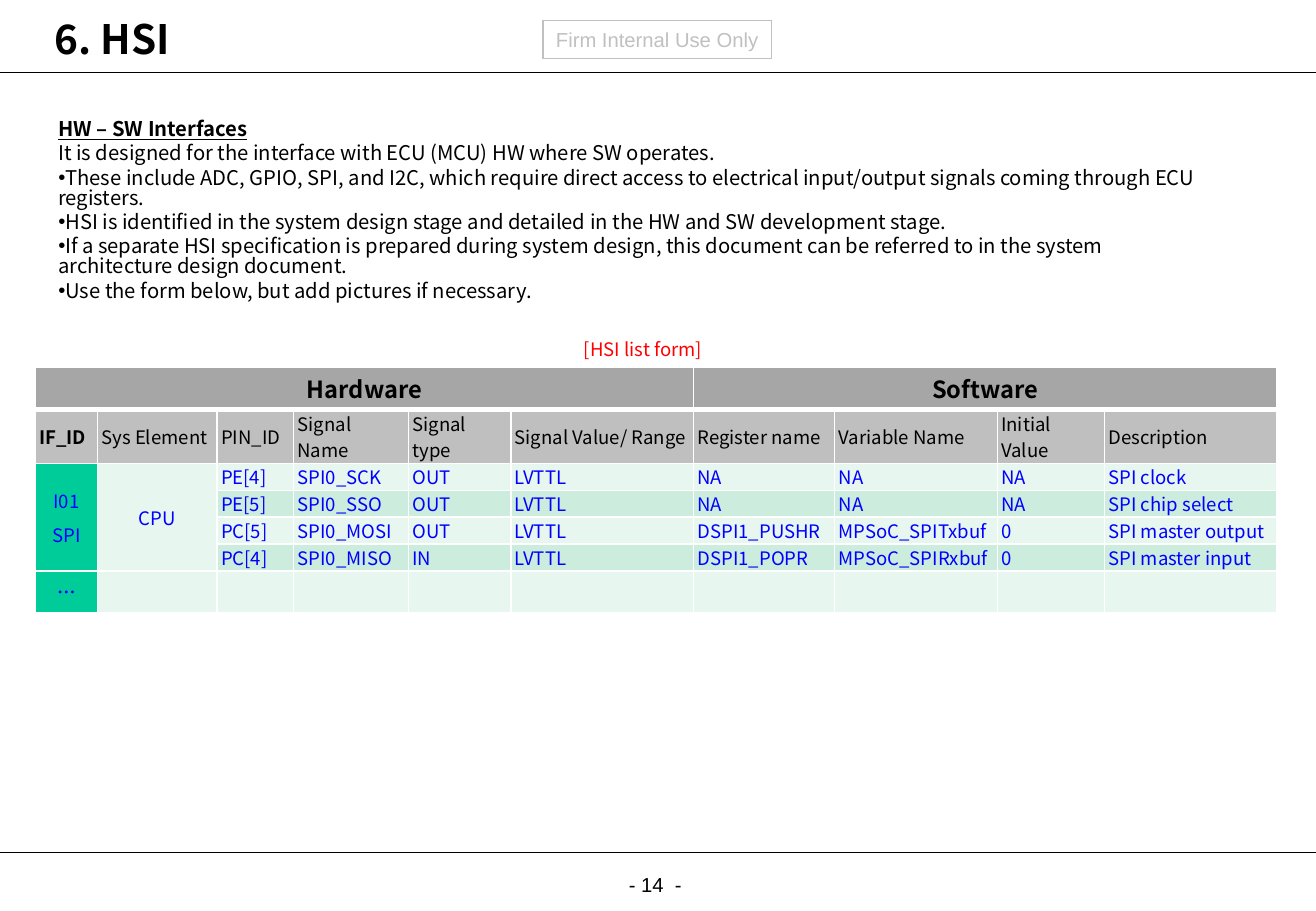
from dataclasses import dataclass
from typing import Any, NamedTuple

from lxml.etree import SubElement as Sub
from pptx import Presentation as Deck
from pptx.dml.color import RGBColor as Rgb
from pptx.enum.shapes import MSO_CONNECTOR as Link, MSO_SHAPE as Form
from pptx.enum.text import MSO_ANCHOR as Anchor, MSO_AUTO_SIZE as Fit, PP_ALIGN as Align
from pptx.oxml import parse_xml as make
from pptx.oxml.ns import nsdecls, qn
from pptx.util import Cm, Pt


@dataclass(frozen=True)
class Theme:
    sans: str = "Noto Sans CJK KR"
    plain: str = "Arial"
    black: str = "000000"
    white: str = "FFFFFF"
    stamp: str = "C0C0C0"
    red: str = "FF0000"
    blue: str = "0000FF"
    group: str = "A6A6A6"
    head: str = "BFBFBF"
    key: str = "00CC99"
    pale: str = "E7F6EF"
    band: str = "CCECDE"
    title: float = 24
    label: float = 14
    body: float = 12
    cell: float = 11


class Box(NamedTuple):
    left: float
    top: float
    wide: float
    high: float

    def size(self) -> tuple:
        return tuple(Cm(n) for n in self)


class Point(NamedTuple):
    text: str
    mark: bool = True
    head: bool = False


class Block(NamedTuple):
    row: int
    col: int
    last_row: int
    last_col: int


T = Theme()
WIDE, HIGH = 27.51, 19.05
RULES = [1.52, 17.83]

POINTS = [
    Point("HW – SW Interfaces", mark=False, head=True),
    Point("It is designed for the interface with ECU (MCU) HW where SW operates.", mark=False),
    Point("These include ADC, GPIO, SPI, and I2C, which require direct access to electrical "
          "input/output signals coming through ECU registers."),
    Point("HSI is identified in the system design stage and detailed in the HW and SW "
          "development stage."),
    Point("If a separate HSI specification is prepared during system design, this document "
          "can be referred to in the system architecture design document."),
    Point("Use the form below, but add pictures if necessary."),
]

COLS = [1.3, 2.5, 1.6, 2.4, 2.14, 3.82, 2.95, 3.4, 2.24, 3.6]
ROWS = [0.89, 1.12] + [0.56] * 4 + [0.86]
BLOCKS = [Block(0, 0, 0, 5), Block(0, 6, 0, 9), Block(2, 0, 5, 0), Block(2, 1, 5, 1)]
CELLS = [
    ["Hardware", "", "", "", "", "", "Software", "", "", ""],
    ["IF_ID", "Sys Element", "PIN_ID", "Signal Name", "Signal type", "Signal Value/ Range",
     "Register name", "Variable Name", "Initial Value", "Description"],
    ["I01\nSPI", "CPU", "PE[4]", "SPI0_SCK", "OUT", "LVTTL", "NA", "NA", "NA", "SPI clock"],
    ["", "", "PE[5]", "SPI0_SSO", "OUT", "LVTTL", "NA", "NA", "NA", "SPI chip select"],
    ["", "", "PC[5]", "SPI0_MOSI", "OUT", "LVTTL", "DSPI1_PUSHR", "MPSoC_SPITxbuf", "0",
     "SPI master output"],
    ["", "", "PC[4]", "SPI0_MISO", "IN", "LVTTL", "DSPI1_POPR", "MPSoC_SPIRxbuf", "0",
     "SPI master input"],
    ["…"] + [""] * 9,
]


def write(para: Any, text: str, *, size: float = T.body, face: str = T.sans,
          tint: str = T.black, bold: bool = False, under: bool = False,
          align: Any = Align.LEFT, line: float = 1, before: float = 0) -> None:
    para.alignment = align
    para.line_spacing = line
    para.space_before = Pt(before)
    run = para.add_run()
    run.text = text
    font = run.font
    font.name, font.size, font.bold, font.underline = face, Pt(size), bold, under
    font.color.rgb = Rgb.from_string(tint)
    Sub(font._element, qn("a:ea")).set("typeface", face)


def place(shape: Any, box: Box, *, wrap: bool = True, anchor: Any = Anchor.TOP) -> Any:
    shape.left, shape.top, shape.width, shape.height = box.size()
    frame = shape.text_frame
    frame.word_wrap, frame.auto_size, frame.vertical_anchor = wrap, Fit.NONE, anchor
    frame.margin_left = frame.margin_right = Cm(0.25)
    frame.margin_top = frame.margin_bottom = Cm(0.13)
    return frame


def rule(slide: Any, top: float) -> None:
    line = slide.shapes.add_connector(Link.STRAIGHT, 0, Cm(top), Cm(WIDE), Cm(top))
    line.line.color.rgb = Rgb.from_string(T.black)
    line.line.width = Pt(0.75)
    Sub(line._element.spPr, qn("a:effectLst"))


def stamp(slide: Any, box: Box) -> None:
    shape = slide.shapes.add_shape(Form.RECTANGLE, *box.size())
    shape.shadow.inherit = False
    shape.fill.background()
    shape.line.color.rgb = Rgb.from_string(T.stamp)
    shape.line.width = Pt(0.75)
    frame = place(shape, box, wrap=False, anchor=Anchor.MIDDLE)
    write(frame.paragraphs[0], "Firm Internal Use Only", face=T.plain, tint=T.stamp,
          align=Align.CENTER)


def note(slide: Any, box: Box, text: str, *, wrap: bool = True, **form: Any) -> None:
    frame = place(slide.shapes.add_textbox(*box.size()), box, wrap=wrap)
    write(frame.paragraphs[0], text, align=Align.CENTER, **form)


def list_points(shape: Any, box: Box) -> None:
    frame = place(shape, box)
    for num, point in enumerate(POINTS):
        para = frame.add_paragraph() if num else frame.paragraphs[0]
        props = para._p.get_or_add_pPr()
        props.set("marL", "0")
        props.set("indent", "0")
        if point.mark:
            Sub(props, qn("a:buChar")).set("char", "•")
        else:
            Sub(props, qn("a:buNone"))
        write(para, point.text, bold=point.head, under=point.head, line=0.83,
              before=2.4 if num else 0)


def edge(cell: Any, row: int) -> None:
    props = cell._tc.get_or_add_tcPr()
    for spot, side in enumerate("LRTB"):
        thick = (row, side) in ((0, "B"), (1, "T"))
        props.insert(spot, make(
            f'<a:ln{side} {nsdecls("a")} w="{Pt(3 if thick else 1)}"><a:solidFill>'
            f'<a:srgbClr val="{T.white}"/></a:solidFill></a:ln{side}>'))


def shade(row: int, col: int) -> str:
    if row < 2:
        return (T.group, T.head)[row]
    if col == 0:
        return T.key
    return T.band if row % 2 and col > 1 else T.pale


def grid(slide: Any, box: Box) -> None:
    table = slide.shapes.add_table(len(ROWS), len(COLS), *box.size()).table
    table.first_row = table.horz_banding = False
    for track, wide in zip(table.columns, COLS):
        track.width = Cm(wide)
    for track, high in zip(table.rows, ROWS):
        track.height = Cm(high)
    for part in BLOCKS:
        table.cell(part.row, part.col).merge(table.cell(part.last_row, part.last_col))
    for row, texts in enumerate(CELLS):
        for col, text in enumerate(texts):
            cell = table.cell(row, col)
            cell.fill.solid()
            cell.fill.fore_color.rgb = Rgb.from_string(shade(row, col))
            edge(cell, row)
            cell.vertical_anchor = Anchor.MIDDLE
            cell.margin_left = cell.margin_right = Cm(0.08)
            cell.margin_top = cell.margin_bottom = 0
            mid = row == 0 or (row > 1 and col < 2)
            for num, part in enumerate(text.split("\n") if text else []):
                para = cell.text_frame.add_paragraph() if num else cell.text_frame.paragraphs[0]
                write(para, part, size=T.cell if row else T.label,
                      tint=T.blue if row > 1 else T.black,
                      bold=row == 0 or (row, col) in ((1, 0), (6, 0)),
                      align=Align.CENTER if mid else Align.LEFT, before=4 if num else 0)


def main() -> None:
    deck = Deck()
    deck.slide_width, deck.slide_height = Cm(WIDE), Cm(HIGH)
    slide = deck.slides.add_slide(deck.slide_layouts[1])
    for top in RULES:
        rule(slide, top)
    note(slide, Box(11.02, 17.96, 5.36, 0.91), "- 14  -", face=T.plain, line=1.3)
    stamp(slide, Box(11.35, 0.43, 4.78, 0.79))
    head = place(slide.shapes.title, Box(0.89, 0.2, 24.77, 1.22), anchor=Anchor.MIDDLE)
    head.margin_top = head.margin_bottom = 0
    write(head.paragraphs[0], "6. HSI", size=T.title, bold=True)
    list_points(slide.placeholders[1], Box(0.97, 2.39, 24.46, 4.52))
    grid(slide, Box(0.74, 7.67, sum(COLS), sum(ROWS)))
    note(slide, Box(11.96, 6.93, 2.97, 0.74), "[HSI list form]", wrap=False,
         size=T.cell, tint=T.red)
    deck.save("out.pptx")


if __name__ == "__main__":
    main()
